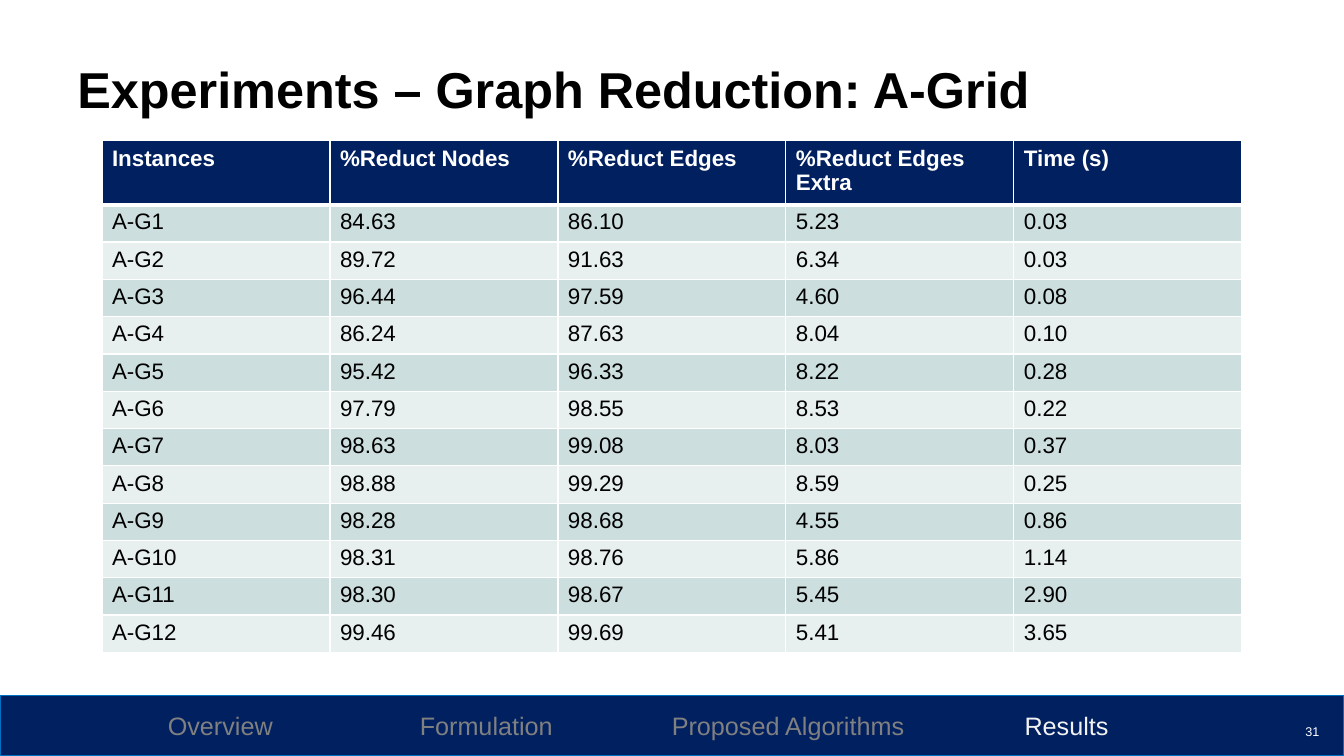
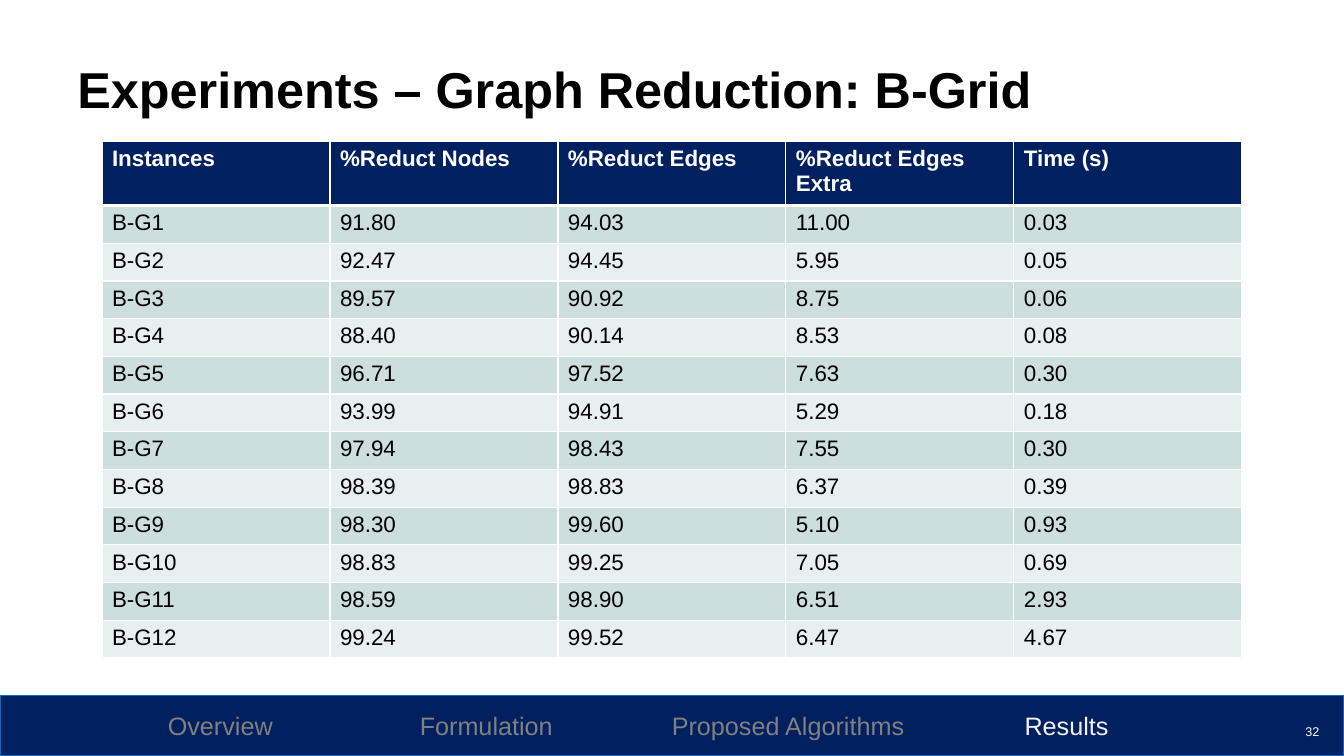
from lxml import etree
from pptx import Presentation
from pptx.dml.color import RGBColor
from pptx.enum.shapes import MSO_SHAPE
from pptx.enum.text import MSO_ANCHOR, PP_ALIGN
from pptx.oxml.ns import qn
from pptx.util import Cm, Pt

RECT = MSO_SHAPE.RECTANGLE
TOP, MIDDLE = MSO_ANCHOR.TOP, MSO_ANCHOR.MIDDLE
LEFT, RIGHT = PP_ALIGN.LEFT, PP_ALIGN.RIGHT

# Shared look
SLIDE_W, SLIDE_H = 33.87, 19.05
BAND_H = 1.53
COLORS = {
    "navy": "002060", "band_line": "0070C0", "white": "FFFFFF",
    "black": "000000", "muted": "808080", "active": "F2F2F2",
    "odd_row": "CCDEDE", "even_row": "E8EFEF",
}
FORMATS = {
    "title": {"size": Pt(36), "bold": True, "color": "black"},
    "number": {"size": Pt(9), "color": "white"},
    "muted": {"size": Pt(18), "color": "muted"},
    "active": {"size": Pt(18), "color": "active"},
    "head": {"size": Pt(16), "bold": True, "color": "white"},
    "body": {"size": Pt(16), "bold": False, "color": "black"},
}
SECTIONS = {"Overview": 4.23, "Formulation": 10.58,
            "Proposed Algorithms": 16.93, "Results": 25.82}  # tab stops
ACTIVE_SECTION = "Results"

# Table content
HEADINGS = ["Instances", "%Reduct Nodes", "%Reduct Edges",
            "%Reduct Edges\nExtra", "Time (s)"]
COL_W = 5.745
A_ROWS = """84.63 86.10 5.23 0.03
89.72 91.63 6.34 0.03
96.44 97.59 4.60 0.08
86.24 87.63 8.04 0.10
95.42 96.33 8.22 0.28
97.79 98.55 8.53 0.22
98.63 99.08 8.03 0.37
98.88 99.29 8.59 0.25
98.28 98.68 4.55 0.86
98.31 98.76 5.86 1.14
98.30 98.67 5.45 2.90
99.46 99.69 5.41 3.65"""
B_ROWS = """91.80 94.03 11.00 0.03
92.47 94.45 5.95 0.05
89.57 90.92 8.75 0.06
88.40 90.14 8.53 0.08
96.71 97.52 7.63 0.30
93.99 94.91 5.29 0.18
97.94 98.43 7.55 0.30
98.39 98.83 6.37 0.39
98.30 99.60 5.10 0.93
98.83 99.25 7.05 0.69
98.59 98.90 6.51 2.93
99.24 99.52 6.47 4.67"""
# grid, slide number, rows, table top, header height, row height
SLIDES = [("A", 31, A_ROWS, 3.55, 1.57, 0.94),
          ("B", 32, B_ROWS, 3.57, 1.55, 0.95)]


def rgb(name):
    return RGBColor.from_string(COLORS[name])


def set_font(font, style):
    font.name = "Arial"
    for key, value in FORMATS[style].items():
        if key == "color":
            font.color.rgb = rgb(value)
        else:
            setattr(font, key, value)


def add_text(s, box, text, style, align=LEFT, anchor=TOP, spacing=1.0):
    tf = s.shapes.add_textbox(*map(Cm, box)).text_frame
    tf.word_wrap = True
    tf.vertical_anchor = anchor
    p = tf.paragraphs[0]
    p.alignment, p.line_spacing = align, spacing
    r = p.add_run()
    r.text = text
    set_font(r.font, style)


def add_band(s):
    """Bottom band with the section names at tab stops."""
    sp = s.shapes.add_shape(RECT, 0, Cm(SLIDE_H - BAND_H),
                            Cm(SLIDE_W), Cm(BAND_H))
    sp.shadow.inherit = False
    sp.fill.solid()
    sp.fill.fore_color.rgb = rgb("navy")
    sp.line.color.rgb = rgb("band_line")
    sp.line.width = Pt(1)
    tf = sp.text_frame
    tf.vertical_anchor = MIDDLE
    tf.margin_left = tf.margin_right = 0
    p = tf.paragraphs[0]
    p.alignment = LEFT
    tabs = etree.SubElement(p._p.get_or_add_pPr(), qn("a:tabLst"))
    for name, pos in SECTIONS.items():
        etree.SubElement(tabs, qn("a:tab"), pos=str(Cm(pos)), algn="l")
        r = p.add_run()
        r.text = "\t" + name
        set_font(r.font, "active" if name == ACTIVE_SECTION else "muted")


def set_borders(cell, widths):
    tc_pr = cell._tc.get_or_add_tcPr()
    for side, width in widths.items():
        ln = etree.SubElement(tc_pr, qn("a:ln" + side), w=str(Pt(width)))
        fill = etree.SubElement(ln, qn("a:solidFill"))
        etree.SubElement(fill, qn("a:srgbClr"), val=COLORS["white"])


def fill_cell(cell, text, style, fill, widths):
    cell.text = text
    for p in cell.text_frame.paragraphs:
        for r in p.runs:
            set_font(r.font, style)
    set_borders(cell, widths)
    cell.fill.solid()
    cell.fill.fore_color.rgb = rgb(fill)


def add_results(s, rows, top, head_h, row_h):
    n_cols = len(HEADINGS)
    height = head_h + row_h * len(rows)
    tbl = s.shapes.add_table(len(rows) + 1, n_cols, Cm(2.57), Cm(top),
                             Cm(COL_W * n_cols), Cm(height)).table
    for col in tbl.columns:
        col.width = Cm(COL_W)
    for i, values in enumerate([HEADINGS] + rows):
        tbl.rows[i].height = Cm(row_h if i else head_h)
        style = "body" if i else "head"
        fill = ("odd_row" if i % 2 else "even_row") if i else "navy"
        widths = {"L": 1, "R": 1, "T": 3 if i == 1 else 1, "B": 1 if i else 3}
        for j, text in enumerate(values):
            fill_cell(tbl.cell(i, j), text, style, fill, widths)


def main():
    prs = Presentation()
    prs.slide_width, prs.slide_height = Cm(SLIDE_W), Cm(SLIDE_H)
    for grid, number, data, *sizes in SLIDES:
        s = prs.slides.add_slide(prs.slide_layouts[6])
        add_band(s)
        add_text(s, (1.7, 1.52, 29.6, 3.15),
                 f"Experiments – Graph Reduction: {grid}-Grid", "title",
                 spacing=0.9)
        add_text(s, (32.3, 17.93, 1.2, 1.02), str(number), "number",
                 RIGHT, MIDDLE)
        rows = [[f"{grid}-G{i}"] + line.split()
                for i, line in enumerate(data.splitlines(), 1)]
        add_results(s, rows, *sizes)
    prs.save("out.pptx")


if __name__ == "__main__":
    main()
